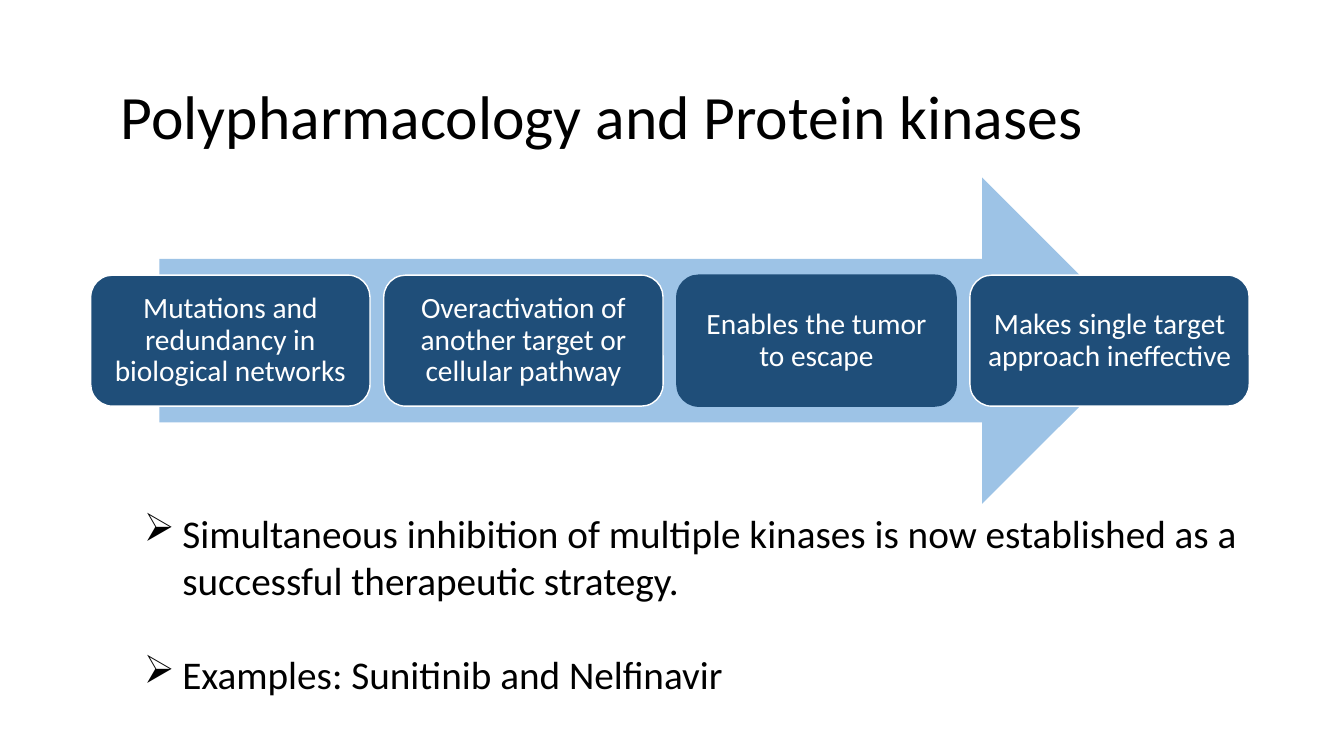
from pptx import Presentation
from pptx import util as u
from pptx.dml.color import RGBColor
from pptx.enum import shapes, text
from lxml import etree

TITLE = "Polypharmacology and Protein kinases"
STEPS = [
    ("Mutations and redundancy in biological networks", "white"),
    ("Overactivation of another target or cellular pathway", "white"),
    ("Enables the tumor to escape", "navy"),
    ("Makes single target approach ineffective", "white"),
]
POINTS = [
    "Simultaneous inhibition of multiple kinases is now established as a successful therapeutic strategy.",
    "Examples: Sunitinib and Nelﬁnavir",
]
THEME = {
    "font": "Calibri",
    "black": "000000", "white": "FFFFFF", "navy": "1F4E79", "sky": "9DC3E6",
    "title": 44, "step": 21, "point": 28,
}
KIND = shapes.MSO_SHAPE


def color(name):
    return RGBColor.from_string(THEME[name])


def style(par, size, tint):
    font = par.font
    font.name = THEME["font"]
    font.size = u.Pt(THEME[size])
    font.color.rgb = color(tint)


def box(slide, area):
    frame = slide.shapes.add_textbox(*map(u.Inches, area)).text_frame
    frame.word_wrap = True
    return frame


def block(slide, kind, area, fill, edge=None):
    shape = slide.shapes.add_shape(kind, *map(u.Inches, area))
    shape.shadow.inherit = False
    shape.fill.solid()
    shape.fill.fore_color.rgb = color(fill)
    if edge:
        shape.line.color.rgb = color(edge)
        shape.line.width = u.Pt(1)
    else:
        shape.line.fill.background()
    return shape


def bullet(par, mark, indent):
    props = par._p.get_or_add_pPr()
    props.set("marL", str(u.Inches(indent)))
    props.set("indent", str(u.Inches(-indent)))
    space = props.nsmap["a"]
    etree.SubElement(props, f"{{{space}}}buChar").set("char", mark)


def heading(slide):
    frame = box(slide, (1.1, 0.46, 11.5, 1.45))
    frame.vertical_anchor = text.MSO_ANCHOR.MIDDLE
    frame.text = TITLE
    par = frame.paragraphs[0]
    par.line_spacing = 0.9
    style(par, "title", "black")


def process(slide):
    block(slide, KIND.RIGHT_ARROW, (1.58, 1.76, 9.78, 3.24), "sky")
    left, top, width, height = 0.9, 2.73, 2.77, 1.3
    right = 12.39
    pitch = (right - left - width) / (len(STEPS) - 1)
    for i, (label, edge) in enumerate(STEPS):
        area = (left + i * pitch, top, width, height)
        frame = block(slide, KIND.ROUNDED_RECTANGLE, area, "navy", edge).text_frame
        frame.word_wrap = True
        frame.vertical_anchor = text.MSO_ANCHOR.MIDDLE
        frame.margin_left = frame.margin_right = u.Inches(0.09)
        frame.margin_top = frame.margin_bottom = u.Inches(0.09)
        frame.text = label
        par = frame.paragraphs[0]
        par.alignment = text.PP_ALIGN.CENTER
        par.line_spacing = 0.9
        style(par, "step", "white")


def summary(slide):
    frame = box(slide, (1.33, 5, 11.27, 1.99))
    frame.text = "\n".join(POINTS)
    for i, par in enumerate(frame.paragraphs):
        bullet(par, "➢", 0.38)
        if i:
            par.space_before = u.Pt(34)
        style(par, "point", "black")


def main():
    deck = Presentation()
    deck.slide_width, deck.slide_height = u.Inches(13.33), u.Inches(7.5)
    slide = deck.slides.add_slide(deck.slide_layouts[6])
    heading(slide)
    process(slide)
    summary(slide)
    deck.save("out.pptx")


if __name__ == "__main__":
    main()
